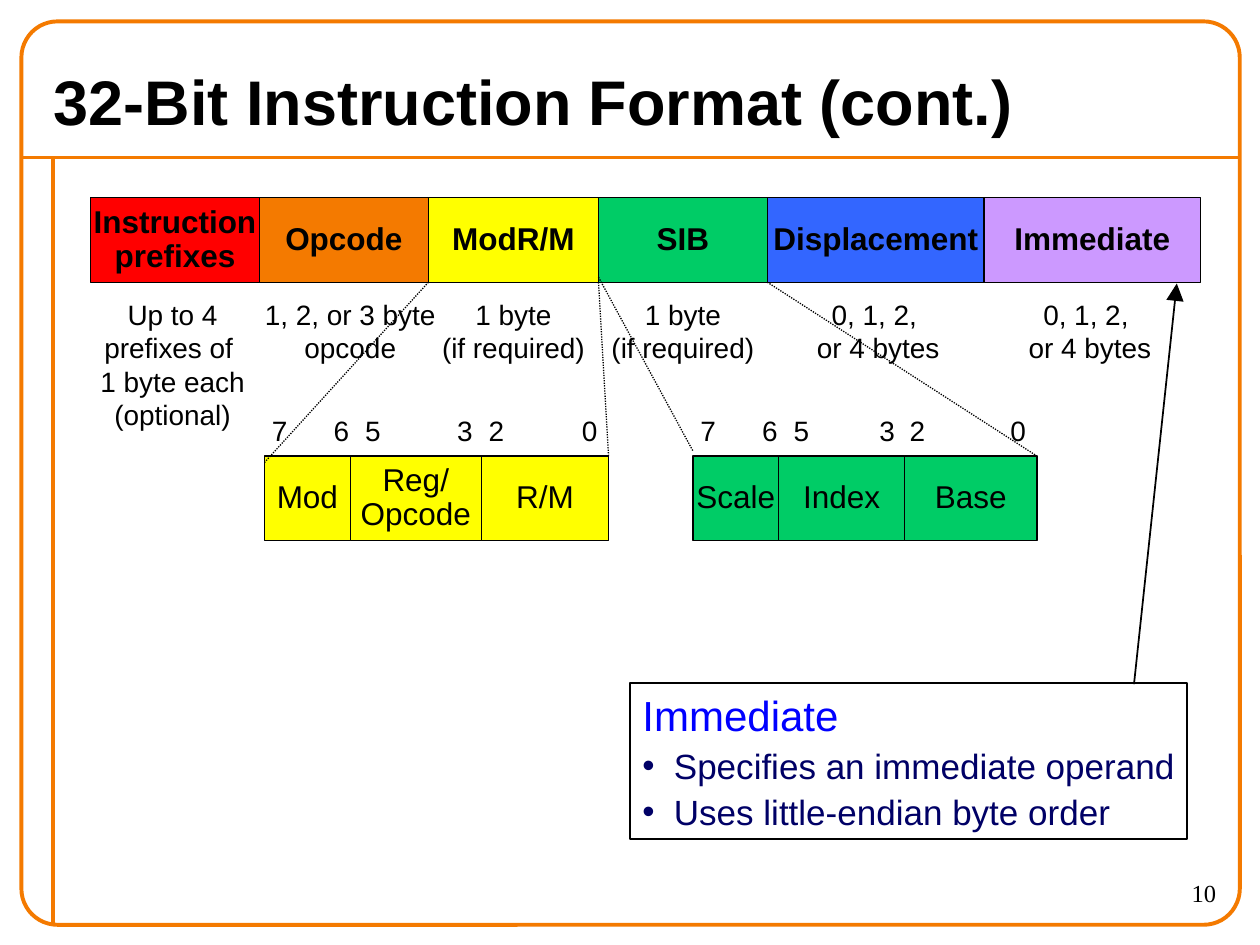
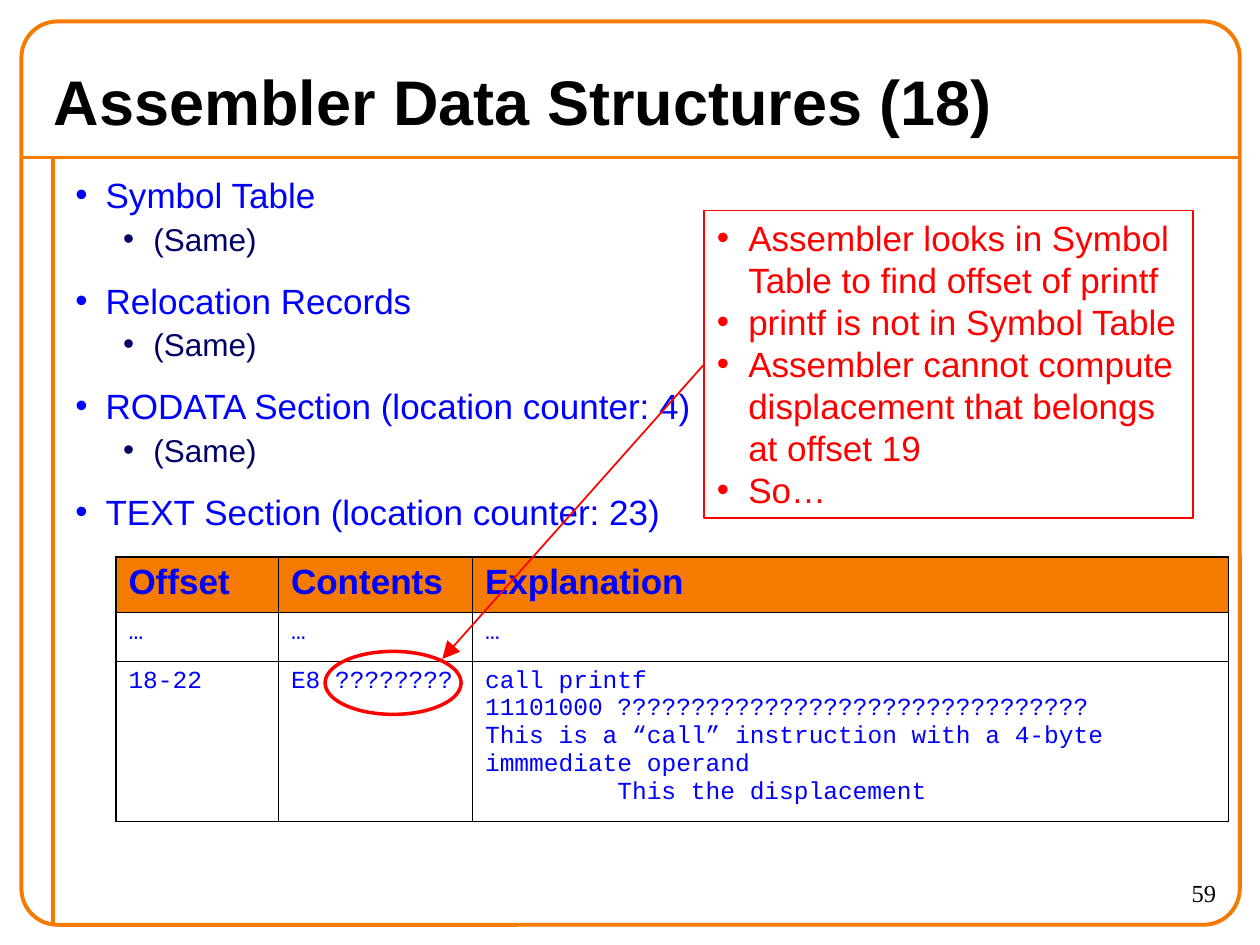
from dataclasses import dataclass, replace
from lxml.etree import SubElement
from pptx import Presentation
from pptx.dml.color import RGBColor
from pptx.enum.dml import MSO_LINE_DASH_STYLE as Dash
from pptx.enum.shapes import MSO_CONNECTOR as Link, MSO_SHAPE as Shape
from pptx.enum.text import MSO_ANCHOR as Anchor, PP_ALIGN as Align
from pptx.oxml.ns import qn
from pptx.util import Inches, Pt


@dataclass(frozen=True)
class Theme:
    orange: str = "F47A00"
    black: str = "000000"
    red: str = "FF0000"
    yellow: str = "FFFF00"
    green: str = "00CC66"
    blue: str = "3366FF"
    violet: str = "CC99FF"
    bright: str = "0000FF"
    navy: str = "000066"
    sans: str = "Arial"
    serif: str = "Times New Roman"
    mono: str = "Courier New"
    title: int = 36
    heading: int = 24
    body: int = 20
    label: int = 18
    caption: int = 16
    small: int = 14


theme = Theme()


@dataclass(frozen=True)
class Style:
    size: int
    color: str = theme.black
    font: str = theme.sans
    bold: bool = False
    align: Align = Align.LEFT
    before: float = 0
    spacing: float = 1
    left: float = 0
    hang: float = 0


title_style = Style(theme.title, bold=True)
number_style = Style(theme.small, font=theme.serif, align=Align.RIGHT)
part_style = Style(theme.label, align=Align.CENTER, spacing=0.9)
field_style = replace(part_style, bold=True)
caption_style = Style(theme.caption, align=Align.CENTER)
bit_style = Style(theme.caption)
heading_style = Style(theme.heading, theme.bright)
detail_style = Style(theme.body, theme.navy, before=2.5, left=0.25, hang=0.25)
section_style = Style(theme.body, theme.bright, before=12.5, left=0.24, hang=0.24)
same_style = Style(theme.label, theme.navy, before=2.2, left=0.62, hang=0.24)
warning_style = Style(theme.body, theme.red, left=0.25, hang=0.25)
header_style = Style(theme.body, theme.bright, bold=True)
code_style = Style(theme.small, theme.bright, theme.mono)
remark_style = replace(code_style, left=1.05)


def write(frame, lines, wrap=True, anchor=Anchor.TOP):
    frame.word_wrap = wrap
    frame.vertical_anchor = anchor
    for index, (text, style) in enumerate(lines):
        para = frame.add_paragraph() if index else frame.paragraphs[0]
        para.alignment = style.align
        para.line_spacing = style.spacing
        para.space_before = Pt(style.before if index else 0)
        properties = para._p.get_or_add_pPr()
        properties.set("marL", str(Inches(style.left)))
        properties.set("indent", str(-Inches(style.hang)))
        if style.hang:
            tint = SubElement(properties, qn("a:buClr"))
            SubElement(tint, qn("a:srgbClr"), val=style.color)
            SubElement(properties, qn("a:buFont"), typeface=theme.sans)
            SubElement(properties, qn("a:buChar"), char="•")
        for row, piece in enumerate(text.split("\n")):
            if row:
                para.add_line_break()
            span = para.add_run()
            span.text = piece
            span.font.name = style.font
            span.font.size = Pt(style.size)
            span.font.bold = style.bold
            span.font.color.rgb = RGBColor.from_string(style.color)


def draw(page, kind, place, line, weight, fill=None):
    box = page.shapes.add_shape(kind, *map(Inches, place))
    box.shadow.inherit = False
    box.line.color.rgb = RGBColor.from_string(line)
    box.line.width = Pt(weight)
    if fill:
        box.fill.solid()
        box.fill.fore_color.rgb = RGBColor.from_string(fill)
    else:
        box.fill.background()
    return box


deck = Presentation()
deck.slide_width, deck.slide_height = Inches(10), Inches(7.5)
pages = []
links = []
for title, number in [
    ("32-Bit Instruction Format (cont.)", "10"),
    ("Assembler Data Structures (18)", "59"),
]:
    page = deck.slides.add_slide(deck.slide_layouts[6])
    pages.append(page)
    border = draw(page, Shape.ROUNDED_RECTANGLE, (0.17, 0.17, 9.67, 7.17), theme.orange, 2.25)
    border.adjustments[0] = 0.04
    for start, end in [((0.17, 1.25), (9.83, 1.25)), ((0.42, 1.25), (0.42, 7.33))]:
        links.append((page, start, end, theme.orange, 2.25, None, False))
    for place, text, style, anchor in [
        ((8.75, 6.92, 1, 0.42), number, number_style, Anchor.TOP),
        ((0.33, 0.42, 9.33, 0.75), title, title_style, Anchor.MIDDLE),
    ]:
        box = page.shapes.add_textbox(*map(Inches, place))
        write(box.text_frame, [(text, style)], anchor=anchor)
format_page, table_page = pages

left = 0.72
caption_width = 1.7
for names, width, fill, captions, shift in [
    (["Instruction", "prefixes"], 1.34, theme.red,
     ["Up to 4\nprefixes of ", "1 byte each", "(optional)"], -0.02),
    (["Opcode"], 1.34, theme.orange, ["1, 2, or 3 byte\nopcode"], 0.05),
    (["ModR/M"], 1.35, theme.yellow, ["1 byte", "(if required)"], 0),
    (["SIB"], 1.34, theme.green, ["1 byte", "(if required)"], 0),
    (["Displacement"], 1.72, theme.blue, ["0, 1, 2, \nor 4 bytes"], 0.02),
    (["Immediate"], 1.72, theme.violet, ["0, 1, 2, \nor 4 bytes"], -0.02),
]:
    field = draw(format_page, Shape.RECTANGLE, (left, 1.57, width, 0.67), theme.black, 0.75, fill)
    write(field.text_frame, [(name, field_style) for name in names], False, Anchor.MIDDLE)
    height = 1.17 if len(captions) == 3 else 0.64
    caption_left = left + shift + (width - caption_width) / 2
    box = format_page.shapes.add_textbox(*map(Inches, (caption_left, 2.31, caption_width, height)))
    write(box.text_frame, [(caption, caption_style) for caption in captions])
    left += width

for left, fill, parts, offsets in [
    (2.1, theme.yellow, [("Mod", 0.68), ("Reg/\nOpcode", 1.04), ("R/M", 1.01)],
     (0, 0.49, 0.74, 1.47, 1.72, 2.46)),
    (5.5, theme.green, [("Scale", 0.68), ("Index", 1), ("Base", 1.05)],
     (0, 0.49, 0.74, 1.42, 1.66, 2.46)),
]:
    for bit, offset in zip("765320", offsets):
        box = format_page.shapes.add_textbox(*map(Inches, (left - 0.04 + offset, 3.23, 0.35, 0.37)))
        write(box.text_frame, [(bit, bit_style)])
    for name, width in parts:
        part = draw(format_page, Shape.RECTANGLE, (left, 3.62, width, 0.67), theme.black, 0.75, fill)
        write(part.text_frame, [(name, part_style)], False, Anchor.MIDDLE)
        left += width

for start, end in [
    ((3.4, 2.24), (2.1, 3.67)),
    ((4.75, 2.24), (4.83, 3.62)),
    ((4.75, 2.2), (5.5, 3.58)),
    ((6.09, 2.24), (8.23, 3.62)),
]:
    links.append((format_page, start, end, theme.black, 0.75, Dash.ROUND_DOT, False))

immediate = draw(format_page, Shape.RECTANGLE, (5, 5.42, 4.42, 1.24), theme.black, 1)
write(immediate.text_frame, [
    ("Immediate", heading_style),
    ("Specifies an immediate operand", detail_style),
    ("Uses little-endian byte order", detail_style),
], False, Anchor.MIDDLE)
links.append((format_page, (9, 5.43), (9.34, 2.25), theme.black, 1, None, True))

outline = []
for section in ["Symbol Table", "Relocation Records", "RODATA Section (location counter: 4)"]:
    outline += [(section, section_style), ("(Same)", same_style)]
outline.append(("TEXT Section (location counter: 23)", section_style))
body = table_page.shapes.add_textbox(*map(Inches, (0.5, 1.33, 9.17, 6)))
write(body.text_frame, outline)

rows = [
    [[(name, header_style)] for name in ("Offset", "Contents", "Explanation")],
    [[("…", code_style)]] * 3,
    [
        [("18-22", code_style)],
        [("E8 ????????", code_style)],
        [
            ("call printf\n11101000 ????????????????????????????????\n"
             "This is a “call” instruction with a 4-byte immmediate operand", code_style),
            ("This the displacement", remark_style),
        ],
    ],
]
table = table_page.shapes.add_table(3, 3, *map(Inches, (0.92, 4.42, 8.83, 2.1))).table
table.first_row = table.horz_banding = False
for column, width in zip(table.columns, (1.29, 1.54, 6)):
    column.width = Inches(width)
for row, height in zip(table.rows, (0.44, 0.39, 1.27)):
    row.height = Inches(height)
for down, contents in enumerate(rows):
    for across, lines in enumerate(contents):
        cell = table.cell(down, across)
        write(cell.text_frame, lines)
        properties = cell._tc.get_or_add_tcPr()
        for side, outer in [("L", across == 0), ("R", across == 2), ("T", down == 0), ("B", down == 2)]:
            edge = SubElement(properties, qn(f"a:ln{side}"), w=str(Pt(1 if outer else 0.5)))
            paint = SubElement(edge, qn("a:solidFill"))
            SubElement(paint, qn("a:srgbClr"), val=theme.black)
        if down:
            cell.fill.background()
        else:
            cell.fill.solid()
            cell.fill.fore_color.rgb = RGBColor.from_string(theme.orange)

warning = draw(table_page, Shape.RECTANGLE, (5.59, 1.67, 3.88, 2.44), theme.red, 1)
write(warning.text_frame, [(text, warning_style) for text in (
    "Assembler looks in Symbol\nTable to find offset of printf",
    "printf is not in Symbol Table",
    "Assembler cannot compute\ndisplacement that belongs\nat offset 19",
    "So…",
)], False)
draw(table_page, Shape.OVAL, (2.58, 5.17, 1.08, 0.5), theme.red, 2)
links.append((table_page, (5.59, 2.89), (3.51, 5.23), theme.red, 1, None, True))

for page, start, end, color, weight, dash, arrow in links:
    connector = page.shapes.add_connector(Link.STRAIGHT, *map(Inches, start + end))
    connector.line.color.rgb = RGBColor.from_string(color)
    connector.line.width = Pt(weight)
    if dash:
        connector.line.dash_style = dash
    if arrow:
        outline_xml = connector.line._get_or_add_ln()
        SubElement(outline_xml, qn("a:tailEnd"), type="triangle", w="lg", len="lg")
    SubElement(connector._element.spPr, qn("a:effectLst"))
connector.begin_connect(warning, 1)

deck.save("out.pptx")
